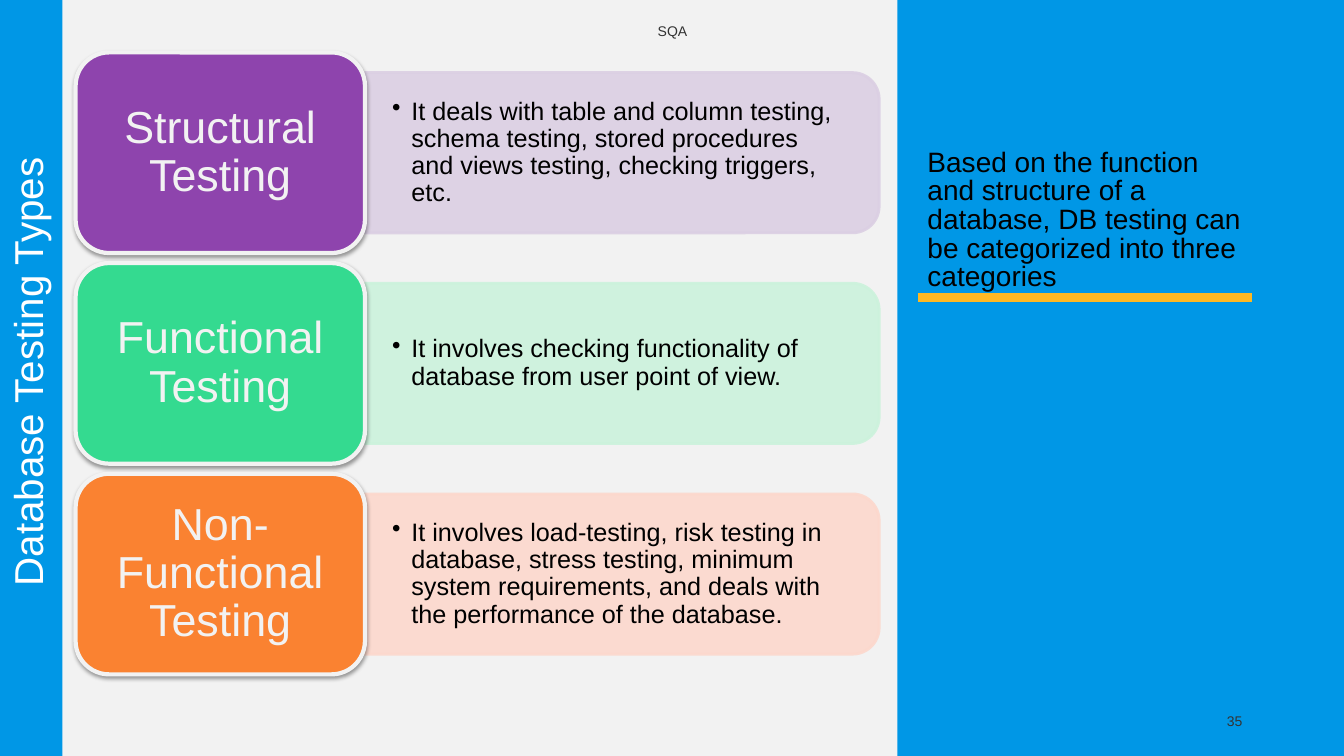
"""Builds the slide on database testing types."""
from dataclasses import dataclass

from lxml.etree import SubElement
from pptx import Presentation
from pptx.dml.color import RGBColor
from pptx.enum.shapes import MSO_CONNECTOR, MSO_SHAPE
from pptx.enum.text import MSO_ANCHOR as Anchor, PP_ALIGN as Align
from pptx.oxml.ns import qn
from pptx.shapes.autoshape import Shape
from pptx.slide import Slide
from pptx.util import Inches, Pt

COLORS = {
    "background": "F2F2F2", "panel": "0097E6", "accent": "FDB823",
    "muted": "333333", "black": "000000", "white": "FFFFFF",
    "purple": "8E44AD", "lilac": "DBCFE3",
    "green": "34DA90", "mint": "CCF2DC",
    "orange": "FA8231", "peach": "FDD8CD",
}
CARD_LEFT, CARD_TOP, CARD_WIDTH, CARD_HEIGHT, CARD_GAP = 0.75, 0.52, 2.87, 1.99, 0.1
BAND_WIDTH, BAND_HEIGHT = 5.1, 1.59
DETAIL_WIDTH, DETAIL_HEIGHT = 5.02, 1.44


@dataclass
class Box:
    left: float
    top: float
    width: float
    height: float

    def lengths(self) -> list[Inches]:
        return [Inches(value) for value in (self.left, self.top, self.width, self.height)]


@dataclass
class TextStyle:
    size: float
    color: str
    align: Align = Align.LEFT
    anchor: Anchor = Anchor.MIDDLE
    spacing: float = 1.0
    inset_x: float = 0.1
    inset_y: float = 0.05


@dataclass
class Label:
    text: str
    box: Box
    style: TextStyle
    rotation: float = 0


@dataclass
class Category:
    name: str
    detail: str
    color: str
    tint: str


CARD_STYLE = TextStyle(32, "background", Align.CENTER, spacing=0.9, inset_x=0.13, inset_y=0.07)
DETAIL_STYLE = TextStyle(18, "black", spacing=0.9, inset_x=0.27, inset_y=0.14)

LABELS = [
    Label("SQA", Box(4.42, 0.11, 4.5, 0.4), TextStyle(10, "muted", Align.CENTER)),
    Label("35", Box(9.42, 6.95, 3, 0.4), TextStyle(10, "muted", Align.RIGHT)),
    Label("Database Testing Types", Box(-3.06, 3.44, 6.74, 0.5),
          TextStyle(28.8, "white", Align.CENTER, Anchor.BOTTOM, 0.85), 270),
    Label("Based on the function and structure of a database, DB testing can be "
          "categorized into three categories", Box(9.1, 0.45, 3.31, 2.5),
          TextStyle(20, "black", anchor=Anchor.BOTTOM, spacing=0.85)),
]
CATEGORIES = [
    Category("Structural Testing",
             "It deals with table and column testing, schema testing, stored procedures "
             "and views testing, checking triggers, etc.", "purple", "lilac"),
    Category("Functional Testing",
             "It involves checking functionality of database from user point of view.",
             "green", "mint"),
    Category("Non-Functional Testing",
             "It involves load-testing, risk testing in database, stress testing, minimum "
             "system requirements, and deals with the performance of the database.",
             "orange", "peach"),
]


def rgb(name: str) -> RGBColor:
    return RGBColor.from_string(COLORS[name])


def write_text(shape: Shape, text: str, style: TextStyle, bullet: bool = False) -> None:
    frame = shape.text_frame
    frame.word_wrap = True
    frame.vertical_anchor = style.anchor
    frame.margin_left = frame.margin_right = Inches(style.inset_x)
    frame.margin_top = frame.margin_bottom = Inches(style.inset_y)
    frame.text = text
    para = frame.paragraphs[0]
    para.alignment = style.align
    para.line_spacing = style.spacing
    if bullet:
        properties = para._p.get_or_add_pPr()
        properties.set("marL", str(Inches(0.19)))
        properties.set("indent", str(-Inches(0.19)))
        SubElement(properties, qn("a:buChar"), char="•")
    span = para.runs[0]
    span.font.name = "Arial"
    span.font.size = Pt(style.size)
    span.font.color.rgb = rgb(style.color)


def add_label(page: Slide, label: Label, bullet: bool = False) -> None:
    shape = page.shapes.add_textbox(*label.box.lengths())
    shape.rotation = label.rotation
    write_text(shape, label.text, label.style, bullet)


def add_block(page: Slide, kind: MSO_SHAPE, box: Box, fill: str,
              line: str | None = None, line_width: float = 0) -> Shape:
    shape = page.shapes.add_shape(kind, *box.lengths())
    shape.shadow.inherit = False
    shape.fill.solid()
    shape.fill.fore_color.rgb = rgb(fill)
    if line:
        shape.line.color.rgb = rgb(line)
        shape.line.width = Pt(line_width)
    else:
        shape.line.fill.background()
    return shape


def add_soft_shadow(shape: Shape) -> None:
    effects = shape._element.spPr.find(qn("a:effectLst"))
    shadow = SubElement(effects, qn("a:outerShdw"), blurRad=str(Pt(3.1)), dist=str(Pt(1.6)),
                        dir="5400000", rotWithShape="0")
    color = SubElement(shadow, qn("a:srgbClr"), val=COLORS["black"])
    SubElement(color, qn("a:alpha"), val="38000")


def add_category(page: Slide, category: Category, top: float) -> None:
    middle = top + CARD_HEIGHT / 2
    right = CARD_LEFT + CARD_WIDTH
    band_box = Box(right + (BAND_WIDTH - BAND_HEIGHT) / 2, middle - BAND_WIDTH / 2,
                   BAND_HEIGHT, BAND_WIDTH)
    band = add_block(page, MSO_SHAPE.ROUND_2_SAME_RECTANGLE, band_box,
                     category.tint, category.tint, 2)
    band.rotation = 90
    for color in list(band._element.spPr.iter(qn("a:srgbClr"))):
        SubElement(color, qn("a:alpha"), val="90000")
    detail_box = Box(right, middle - DETAIL_HEIGHT / 2, DETAIL_WIDTH, DETAIL_HEIGHT)
    add_label(page, Label(category.detail, detail_box, DETAIL_STYLE), bullet=True)
    card = add_block(page, MSO_SHAPE.ROUNDED_RECTANGLE,
                     Box(CARD_LEFT, top, CARD_WIDTH, CARD_HEIGHT),
                     category.color, "background", 3)
    add_soft_shadow(card)
    write_text(card, category.name, CARD_STYLE)


def add_accent_line(page: Slide) -> None:
    line = page.shapes.add_connector(MSO_CONNECTOR.STRAIGHT, Inches(9.1), Inches(2.95),
                                     Inches(12.42), Inches(2.95))
    line.line.color.rgb = rgb("accent")
    line.line.width = Pt(6)
    SubElement(line._element.spPr, qn("a:effectLst"))


def main() -> None:
    deck = Presentation()
    deck.slide_width, deck.slide_height = Inches(13.33), Inches(7.5)
    page = deck.slides.add_slide(deck.slide_layouts[6])
    page.background.fill.solid()
    page.background.fill.fore_color.rgb = rgb("background")
    for panel in (Box(8.9, 0, 4.43, 7.5), Box(0, 0, 0.62, 7.5)):
        add_block(page, MSO_SHAPE.RECTANGLE, panel, "panel")
    add_accent_line(page)
    for label in LABELS:
        add_label(page, label)
    for row, category in enumerate(CATEGORIES):
        add_category(page, category, CARD_TOP + row * (CARD_HEIGHT + CARD_GAP))
    deck.save("out.pptx")


if __name__ == "__main__":
    main()
